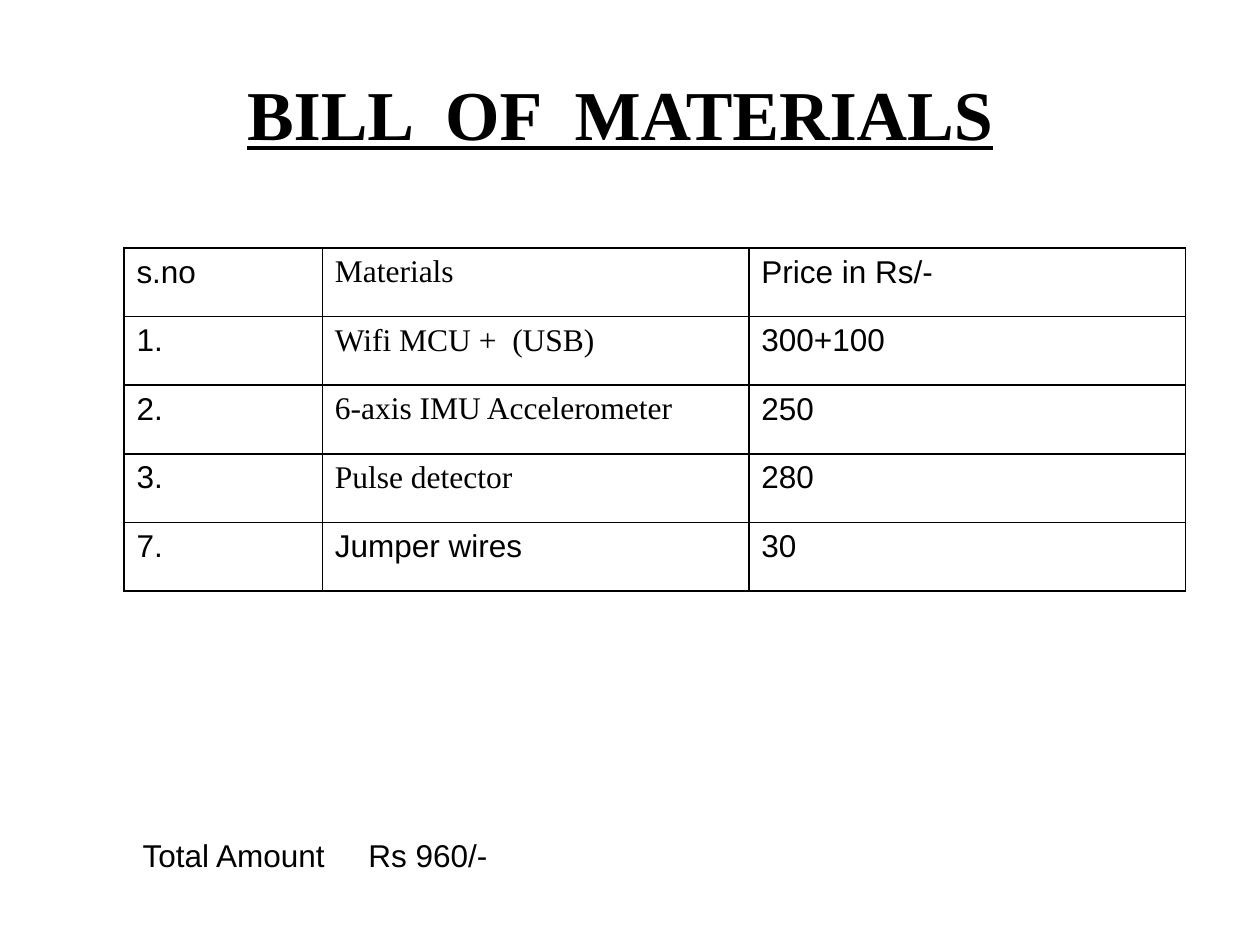
from lxml import etree
from pptx import Presentation
from pptx.dml.color import RGBColor
from pptx.enum.text import MSO_ANCHOR, PP_ALIGN
from pptx.oxml.ns import qn
from pptx.util import Pt

CENTER = PP_ALIGN.CENTER
TOP = MSO_ANCHOR.TOP
BLACK = "000000"
SANS = "Arial"
SERIF = "Times New Roman"
BODY = {"name": SANS, "size": Pt(18), "bold": False}
MATERIAL = {**BODY, "name": SERIF}
TITLE = {"name": SERIF, "size": Pt(40), "bold": True, "underline": True}
COLUMN_WIDTHS = [113.4, 243.7, 249.7]
ROW_HEIGHT = 39.2
BILL = [
    ("s.no", "Materials", "Price in Rs/-"),
    ("1.", "Wifi MCU +  (USB)", "300+100"),
    ("2.", "6-axis IMU Accelerometer", "250"),
    ("3.", "Pulse detector", "280"),
    ("7.", "Jumper wires", "30"),
]


def color(hex_value):
    """Return the colour of a hex string."""
    return RGBColor.from_string(hex_value)


def write(paragraph, text, font_format):
    """Add a black run in the given font format."""
    run = paragraph.add_run()
    run.text = text
    for attribute, value in font_format.items():
        setattr(run.font, attribute, value)
    run.font.color.rgb = color(BLACK)


def add_text(slide, box, font_format):
    """Add a wrapping text box and return its frame and paragraph writer."""
    frame = slide.shapes.add_textbox(*map(Pt, box)).text_frame
    frame.word_wrap = True
    return frame, lambda text: write(frame.paragraphs[0], text, font_format)


def add_title(slide, box):
    """Place the underlined heading in its box."""
    frame, write_heading = add_text(slide, box, TITLE)
    frame.paragraphs[0].alignment = CENTER
    write_heading("BILL  OF  MATERIALS")


def add_total(slide, box):
    """Place the total, with its amount at a tab stop."""
    frame, write_total = add_text(slide, box, BODY)
    frame.margin_left = Pt(21.5)
    properties = frame.paragraphs[0]._p.get_or_add_pPr()
    stops = etree.SubElement(properties, qn("a:tabLst"))
    etree.SubElement(stops, qn("a:tab"), pos=str(Pt(129)), algn="l")
    write_total("Total Amount\tRs 960/-")


def add_borders(cell):
    """Draw a thin black line on every side of a cell."""
    properties = cell._tc.get_or_add_tcPr()
    for side in ("lnL", "lnR", "lnT", "lnB"):
        line = etree.SubElement(properties, qn(f"a:{side}"), w=str(Pt(1)))
        fill = etree.SubElement(line, qn("a:solidFill"))
        etree.SubElement(fill, qn("a:srgbClr"), val=BLACK)


def add_bill(slide, left, top):
    """Place the table of materials and prices."""
    size = sum(COLUMN_WIDTHS), ROW_HEIGHT * len(BILL)
    table = slide.shapes.add_table(
        len(BILL), len(COLUMN_WIDTHS), *map(Pt, (left, top, *size))
    ).table
    table.first_row = table.horz_banding = False
    for column, width in zip(table.columns, COLUMN_WIDTHS):
        column.width = Pt(width)
    for row_index, entries in enumerate(BILL):
        table.rows[row_index].height = Pt(ROW_HEIGHT)
        for column_index, entry in enumerate(entries):
            cell = table.cell(row_index, column_index)
            add_borders(cell)
            cell.fill.background()
            cell.vertical_anchor = TOP
            is_serif = column_index == 1 and entry != "Jumper wires"
            write(cell.text_frame.paragraphs[0], entry, MATERIAL if is_serif else BODY)


def main():
    """Build the bill of materials slide."""
    presentation = Presentation()
    presentation.slide_width, presentation.slide_height = Pt(720), Pt(540)
    slide = presentation.slides.add_slide(presentation.slide_layouts[6])
    add_bill(slide, 70.8, 141.8)
    add_total(slide, (60, 474, 521.3, 29))
    add_title(slide, (31, 36.7, 646.6, 55.5))
    presentation.save("out.pptx")


if __name__ == "__main__":
    main()
